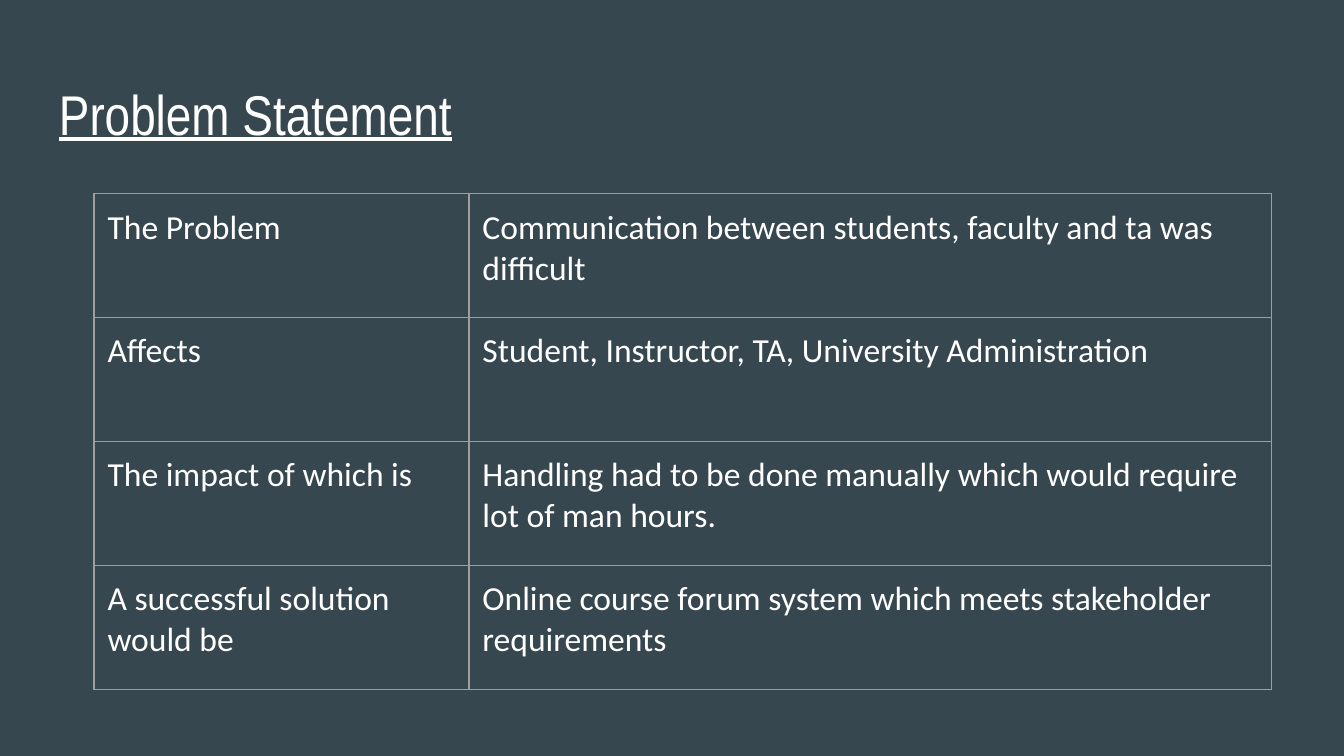
from typing import NamedTuple

from lxml import etree
from pptx import Presentation
from pptx.dml.color import RGBColor
from pptx.enum.text import MSO_ANCHOR
from pptx.oxml.ns import qn
from pptx.util import Inches, Pt

TOP = MSO_ANCHOR.TOP
COLORS = {"background": "37474F", "text": "FFFFFF", "border": "9E9E9E"}
WIDTH = Inches(10)
HEIGHT = WIDTH * 9 // 16
INSET = Inches(0.1)
BORDER_WIDTH = Pt(0.75)
COLUMN_WIDTHS = (Inches(2.79), Inches(5.97))
ROW_HEIGHT = HEIGHT * 164 // 1000


class Statement(NamedTuple):
    label: str
    answer: str


STATEMENTS = (
    Statement("The Problem",
              "Communication between students, faculty and ta was difficult"),
    Statement("Affects", "Student, Instructor, TA, University Administration"),
    Statement("The impact of which is",
              "Handling had to be done manually which would require lot of man hours."),
    Statement("A successful solution would be",
              "Online course forum system which meets stakeholder\nrequirements"),
)


def write_text(text_frame, text: str, font_name: str, size: int,
               underline: bool = False) -> None:
    text_frame.text = text
    for paragraph in text_frame.paragraphs:
        for run in paragraph.runs:
            run.font.name = font_name
            run.font.size = Pt(size)
            run.font.underline = underline
            run.font.color.rgb = RGBColor.from_string(COLORS["text"])


def set_insets(box) -> None:
    box.margin_left = box.margin_right = INSET
    box.margin_top = box.margin_bottom = INSET
    box.vertical_anchor = TOP


def add_borders(cell) -> None:
    properties = cell._tc.get_or_add_tcPr()
    # Border lines come before the fill in the cell properties
    for position, side in enumerate(("lnL", "lnR", "lnT", "lnB")):
        line = etree.Element(qn(f"a:{side}"), w=str(BORDER_WIDTH))
        fill = etree.SubElement(line, qn("a:solidFill"))
        etree.SubElement(fill, qn("a:srgbClr"), val=COLORS["border"])
        properties.insert(position, line)


def add_title(slide, text: str) -> None:
    margin = int(WIDTH * 0.034)
    title = slide.shapes.add_textbox(margin, Inches(0.49),
                                     WIDTH - 2 * margin, Inches(0.63))
    title.text_frame.word_wrap = True
    set_insets(title.text_frame)
    write_text(title.text_frame, text, "Arial Narrow", 30, underline=True)


def add_statement_table(slide, statements: tuple[Statement, ...]) -> None:
    table = slide.shapes.add_table(
        len(statements), len(COLUMN_WIDTHS), Inches(0.7), Inches(1.44),
        sum(COLUMN_WIDTHS), ROW_HEIGHT * len(statements)).table
    table.first_row = table.horz_banding = False
    for column, width in zip(table.columns, COLUMN_WIDTHS):
        column.width = width
    for row, statement in zip(table.rows, statements):
        row.height = ROW_HEIGHT
        for cell, text in zip(row.cells, statement):
            set_insets(cell)
            cell.fill.background()
            add_borders(cell)
            write_text(cell.text_frame, text, "Calibri", 18)


def main() -> None:
    presentation = Presentation()
    presentation.slide_width, presentation.slide_height = WIDTH, HEIGHT
    slide = presentation.slides.add_slide(presentation.slide_layouts[6])

    # Background
    background = slide.background.fill
    background.solid()
    background.fore_color.rgb = RGBColor.from_string(COLORS["background"])

    # Content
    add_statement_table(slide, STATEMENTS)
    add_title(slide, "Problem Statement")
    presentation.save("out.pptx")


if __name__ == "__main__":
    main()
